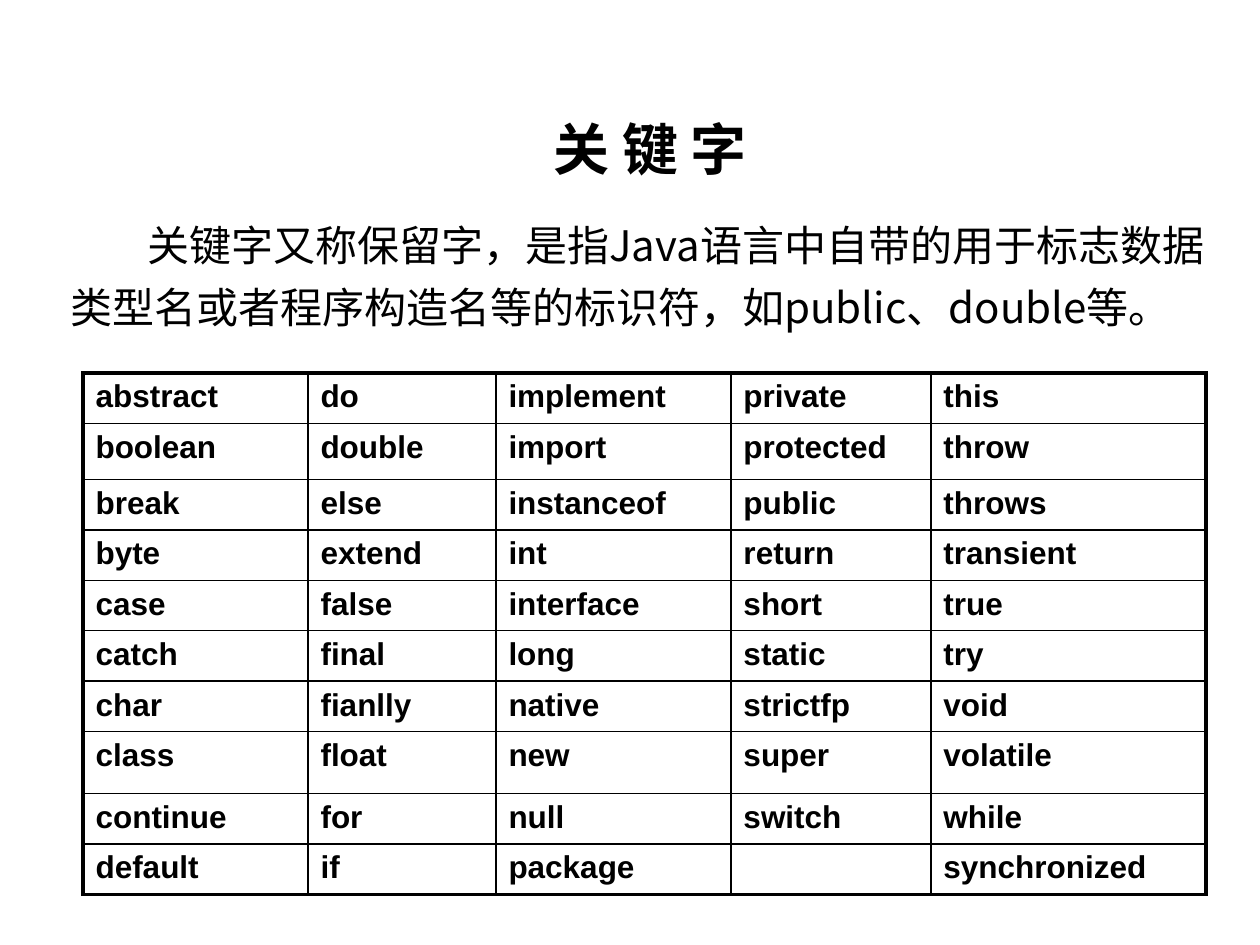
import pptx
import pptx.dml.color
import pptx.oxml
import pptx.oxml.ns
import pptx.util

TITLE = "关 键 字"
INTRO = ("关键字又称保留字，是指Java语言中自带的用于标志数据类型名"
         "或者程序构造名等的标识符，如public、double等。")
KEYWORDS = [
    ("abstract", "do", "implement", "private", "this"),
    ("boolean", "double", "import", "protected", "throw"),
    ("break", "else", "instanceof", "public", "throws"),
    ("byte", "extend", "int", "return", "transient"),
    ("case", "false", "interface", "short", "true"),
    ("catch", "final", "long", "static", "try"),
    ("char", "fianlly", "native", "strictfp", "void"),
    ("class", "float", "new", "super", "volatile"),
    ("continue", "for", "null", "switch", "while"),
    ("default", "if", "package", "", "synchronized"),
]
COL_WIDTHS = [225, 188, 235, 200, 275]
ROW_HEIGHT = 50
TALL_ROWS = {1: 56, 7: 62}
THIN, THICK = 1, 2.25
BLACK, WHITE = "000000", "FFFFFF"
CJK_FONT = "Noto Sans CJK SC"


def px(n):
    return pptx.util.Emu(round(n * 914400 / 126))


def color(value):
    return pptx.dml.color.RGBColor.from_string(value)


def write(tf, text, font, size, bold=False, spacing=None, indent=0):
    p = tf.paragraphs[0]
    if spacing:
        p.line_spacing = spacing
    if indent:
        p._p.get_or_add_pPr().set("indent", str(px(indent)))
    r = p.add_run()
    r.text = text
    r.font.name = font
    r.font.size = pptx.util.Pt(size)
    r.font.bold = bold
    r.font.color.rgb = color(BLACK)
    ea = pptx.oxml.parse_xml(
        f'<a:ea {pptx.oxml.ns.nsdecls("a")} typeface="{font}"/>')
    r.font._element.find(pptx.oxml.ns.qn("a:latin")).addnext(ea)


def add_text(slide, box, text, **fmt):
    tf = slide.shapes.add_textbox(*map(px, box)).text_frame
    tf.word_wrap = True
    write(tf, text, CJK_FONT, **fmt)


def set_borders(cell, widths):
    """Draw the left, right, top and bottom borders, widths in points."""
    tc_pr = cell._tc.get_or_add_tcPr()
    for i, (side, width) in enumerate(zip("LRTB", widths)):
        tc_pr.insert(i, pptx.oxml.parse_xml(
            f'<a:ln{side} {pptx.oxml.ns.nsdecls("a")} w="{pptx.util.Pt(width)}">'
            f'<a:solidFill><a:srgbClr val="{BLACK}"/></a:solidFill></a:ln{side}>'))


def add_keyword_table(slide, left, top):
    heights = [TALL_ROWS.get(i, ROW_HEIGHT) for i in range(len(KEYWORDS))]
    last_row, last_col = len(heights) - 1, len(COL_WIDTHS) - 1
    table = slide.shapes.add_table(
        len(heights), len(COL_WIDTHS), px(left), px(top),
        px(sum(COL_WIDTHS)), px(sum(heights))).table
    table.first_row = table.horz_banding = False
    for column, width in zip(table.columns, COL_WIDTHS):
        column.width = px(width)
    for row, height in zip(table.rows, heights):
        row.height = px(height)
    for i, words in enumerate(KEYWORDS):
        for j, word in enumerate(words):
            cell = table.cell(i, j)
            cell.fill.solid()
            cell.fill.fore_color.rgb = color(WHITE)
            outer = (j == 0, j == last_col, i == 0, i == last_row)
            set_borders(cell, [THICK if edge else THIN for edge in outer])
            write(cell.text_frame, word, "Arial", 18, bold=True)


def main():
    prs = pptx.Presentation()
    prs.slide_width, prs.slide_height = px(1260), px(945)
    slide = prs.slides.add_slide(prs.slide_layouts[6])
    add_text(slide, (58, 202, 1176, 156), INTRO, size=24, spacing=1.23, indent=77)
    add_keyword_table(slide, 83, 373)
    add_text(slide, (541, 100, 287, 92), TITLE, size=32, bold=True, spacing=1.13)
    prs.save("out.pptx")


if __name__ == "__main__":
    main()
